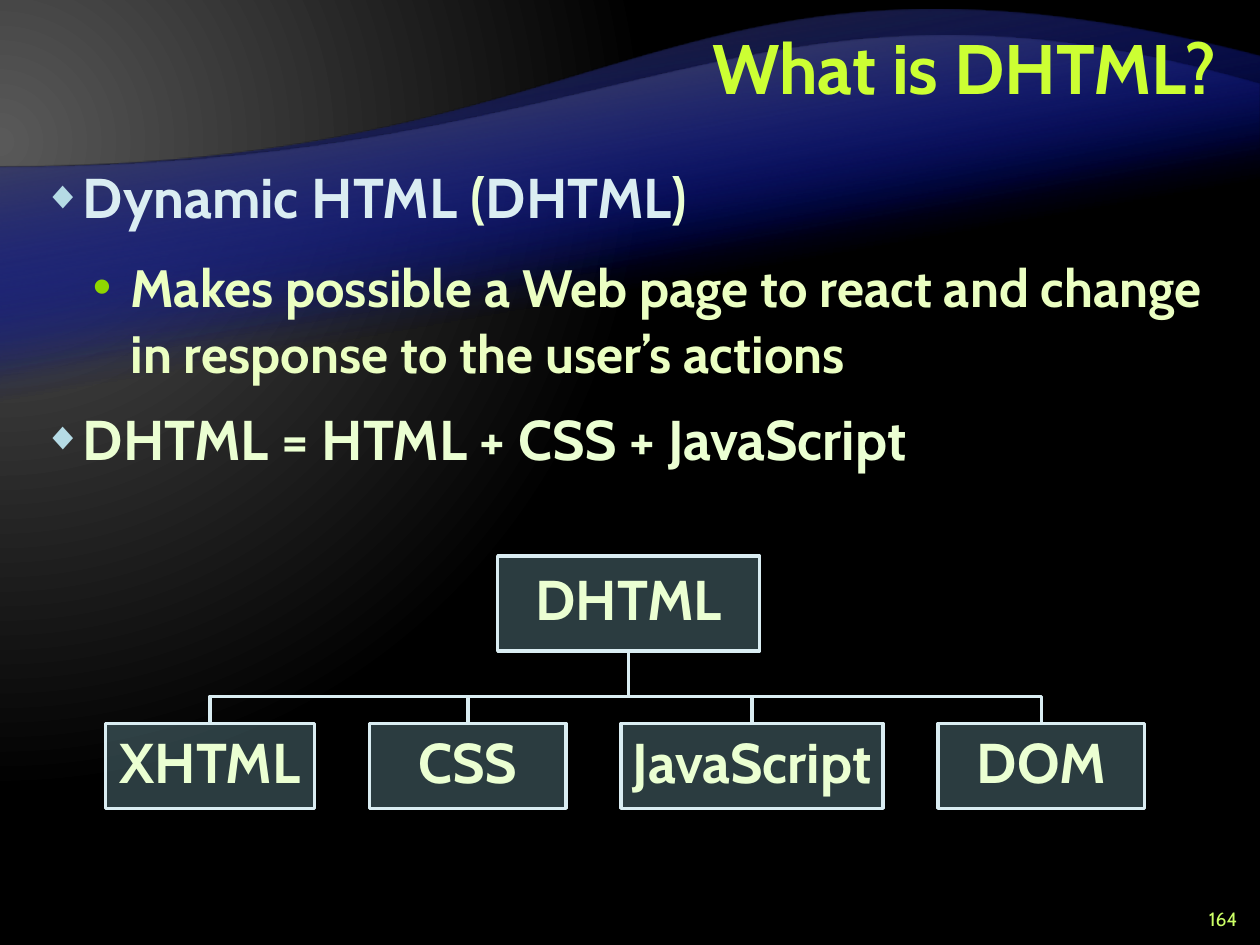
from lxml.etree import SubElement
from pptx import Presentation
from pptx.dml.color import RGBColor
from pptx.enum.shapes import MSO_SHAPE
from pptx.enum.text import MSO_ANCHOR, MSO_AUTO_SIZE, PP_ALIGN
from pptx.oxml import parse_xml
from pptx.oxml.ns import nsdecls, qn
from pptx.util import Pt

PALE_BLUE = "DAEDF2"
PALE_GREEN = "EBFFD2"


def color(code):
    """Turn a hex string into a colour."""
    return RGBColor.from_string(code)


def gradient(stops, direction):
    """Build a gradient fill from (percent, colour, alpha) stops."""
    marks = "".join(
        f'<a:gs pos="{percent * 1000}"><a:srgbClr val="{code}">'
        f'<a:alpha val="{alpha * 1000}"/></a:srgbClr></a:gs>'
        for percent, code, alpha in stops)
    return parse_xml(f'<a:gradFill {nsdecls("a")} rotWithShape="1">'
                     f'<a:gsLst>{marks}</a:gsLst>{direction}</a:gradFill>')


def paint_background(slide):
    """Fill the slide with a grey glow from the upper left."""
    slide.background.fill.solid()
    solid = slide.element.find(".//" + qn("p:bgPr")).find(qn("a:solidFill"))
    glow = gradient(
        [(0, "595959", 100), (83, "000000", 100)],
        '<a:path path="circle"><a:fillToRect l="20000" t="30000" '
        'r="135000" b="100000"/></a:path>')
    solid.getparent().replace(solid, glow)


def add_outline(slide, points, closed):
    """Draw a freeform through points given in points."""
    start, *others = [(Pt(x), Pt(y)) for x, y in points]
    builder = slide.shapes.build_freeform(*start)
    builder.add_line_segments(others, close=closed)
    outline = builder.convert_to_shape()
    outline.shadow.inherit = False
    return outline


def add_wave(slide, left_top, controls, right_top, bottom, tint):
    """Draw a half-turned translucent sheet with one curved edge."""
    corners = [(720, bottom + right_top - left_top), (0, bottom),
               (0, right_top), (720, right_top)]
    wave = add_outline(slide, corners, closed=True)
    wave.rotation = 180
    wave.line.fill.background()
    wave.fill.solid()
    solid = wave.element.spPr.find(qn("a:solidFill"))
    fade = gradient([(65, "000D9E", 0), (100, tint, 100)],
                    '<a:lin ang="4800000" scaled="0"/>')
    solid.getparent().replace(solid, fade)
    edge = wave.element.spPr.find(".//" + qn("a:lnTo"))
    curve = parse_xml(f'<a:cubicBezTo {nsdecls("a")}/>')
    for x, y in controls + [(720, right_top)]:
        SubElement(curve, qn("a:pt"), x=str(Pt(720 - x)), y=str(Pt(bottom - y)))
    edge.getparent().replace(edge, curve)


def write(paragraph, text, size=32, code=PALE_GREEN, bold=True,
          align=None, spacing=None):
    """Add a formatted run to a paragraph."""
    if align is not None:
        paragraph.alignment = align
    if spacing is not None:
        paragraph.line_spacing = spacing
    run = paragraph.add_run()
    run.text = text
    run.font.name = "Cabin"
    run.font.size = Pt(size)
    run.font.bold = bold
    run.font.color.rgb = color(code)


def add_title(slide, text):
    """Place and fill the title above the waves."""
    title = slide.shapes.title
    title.element.getparent().append(title.element)
    title.left, title.top, title.width, title.height = Pt(144), Pt(6), Pt(558), Pt(72)
    frame = title.text_frame
    frame.auto_size = MSO_AUTO_SIZE.NONE
    frame.vertical_anchor = MSO_ANCHOR.MIDDLE
    write(frame.paragraphs[0], text, size=40, code="CCFF33",
          align=PP_ALIGN.RIGHT, spacing=Pt(40))


def add_text_box(slide, left, top, width, height, anchor=MSO_ANCHOR.TOP):
    """Add a wrapping text box and return its frame."""
    frame = slide.shapes.add_textbox(Pt(left), Pt(top), Pt(width), Pt(height)).text_frame
    frame.word_wrap = True
    frame.vertical_anchor = anchor
    return frame


def set_bullet(paragraph, mark, code, percent, margin, hanging):
    """Give a paragraph a coloured bullet and a hanging indent."""
    properties = paragraph._p.get_or_add_pPr()
    properties.set("marL", str(Pt(margin)))
    properties.set("indent", str(-Pt(hanging)))
    SubElement(SubElement(properties, qn("a:buClr")), qn("a:srgbClr"), val=code)
    SubElement(properties, qn("a:buSzPct"), val=str(percent * 1000))
    SubElement(properties, qn("a:buFont"), typeface="Arial")
    SubElement(properties, qn("a:buChar"), char=mark)


def add_points(slide):
    """Write the bulleted definition of DHTML."""
    diamond = ("◆", "B5DBE5", 70, 22.2, 22.2)
    dot = ("•", "8FD600", 100, 49.5, 21.5)
    points = [
        (0, diamond, 32, [("Dynamic HTML", PALE_BLUE), (" (", PALE_GREEN),
                          ("DHTML", PALE_BLUE), (")", PALE_GREEN)]),
        (1, dot, 30, [("Makes possible a Web page to react and change "
                       "in response to the user’s actions", "EBFFC2")]),
        (0, diamond, 32, [("DHTML = HTML + CSS + JavaScript", PALE_GREEN)]),
    ]
    frame = add_text_box(slide, 18, 90, 684, 438)
    for index, (level, bullet, size, pieces) in enumerate(points):
        paragraph = frame.add_paragraph() if index else frame.paragraphs[0]
        set_bullet(paragraph, *bullet)
        paragraph.level = level
        paragraph.space_before = Pt(6 if index else 0)
        paragraph.space_after = Pt(6)
        for text, code in pieces:
            write(paragraph, text, size=size, code=code, spacing=Pt(38))


def style_line(outline):
    """Give a part of the tree its pale line."""
    outline.line.color.rgb = color(PALE_BLUE)
    outline.line.width = Pt(2)


def add_node(slide, text, left, top, width, height):
    """Add a labelled box of the tree."""
    node = slide.shapes.add_shape(MSO_SHAPE.RECTANGLE, Pt(left), Pt(top),
                                  Pt(width), Pt(height))
    node.shadow.inherit = False
    node.fill.solid()
    node.fill.fore_color.rgb = color("90CAD7")
    tint = node.element.spPr.find(qn("a:solidFill")).find(qn("a:srgbClr"))
    SubElement(tint, qn("a:alpha"), val="30000")
    style_line(node)
    frame = node.text_frame
    frame.margin_left = frame.margin_right = Pt(1.5)
    frame.margin_top = frame.margin_bottom = Pt(1.5)
    frame.vertical_anchor = MSO_ANCHOR.MIDDLE
    write(frame.paragraphs[0], text, align=PP_ALIGN.CENTER, spacing=0.85)


def add_branch(slide, start, bar, end):
    """Draw a bent line from the root down to one part."""
    (start_x, start_y), (end_x, end_y) = start, end
    branch = add_outline(slide, [start, (start_x, bar), (end_x, bar), end],
                         closed=False)
    branch.fill.background()
    style_line(branch)


def add_tree(slide):
    """Draw DHTML over its four technologies."""
    root_left, root_top, root_width, root_height = 284.4, 317.6, 149.6, 54.4
    gap, part_top, part_height = 31.5, 413.4, 48.5
    root_foot = (root_left + root_width / 2, root_top + root_height)
    parts, left = [], 60.4
    for text, width in [("XHTML", 119.3), ("CSS", 112.3),
                        ("JavaScript", 149.6), ("DOM", 118.1)]:
        parts.append((text, left, width))
        left += width + gap
    for _, left, width in reversed(parts):
        add_branch(slide, root_foot, 397.9, (left + width / 2, part_top))
    add_node(slide, "DHTML", root_left, root_top, root_width, root_height)
    for text, left, width in parts:
        add_node(slide, text, left, part_top, width, part_height)


def main():
    """Build the slide and save it."""
    deck = Presentation()
    deck.slide_width, deck.slide_height = Pt(720), Pt(540)
    slide = deck.slides.add_slide(deck.slide_layouts[5])
    paint_background(slide)
    for _ in range(2):
        add_wave(slide, 95.8, [(360, 95.8), (384.5, -54)], 32.4, 470.2, "262626")
        add_wave(slide, 95.8, [(360, 95.8), (430.6, -35.3)], 48.2, 401, "595959")
    add_title(slide, "What is DHTML?")
    add_points(slide)
    add_tree(slide)
    number = add_text_box(slide, 678.2, 516.2, 36, 18, MSO_ANCHOR.MIDDLE)
    write(number.paragraphs[0], "164", size=11, code="CCFF66", bold=False,
          align=PP_ALIGN.RIGHT)
    deck.save("out.pptx")


if __name__ == "__main__":
    main()
